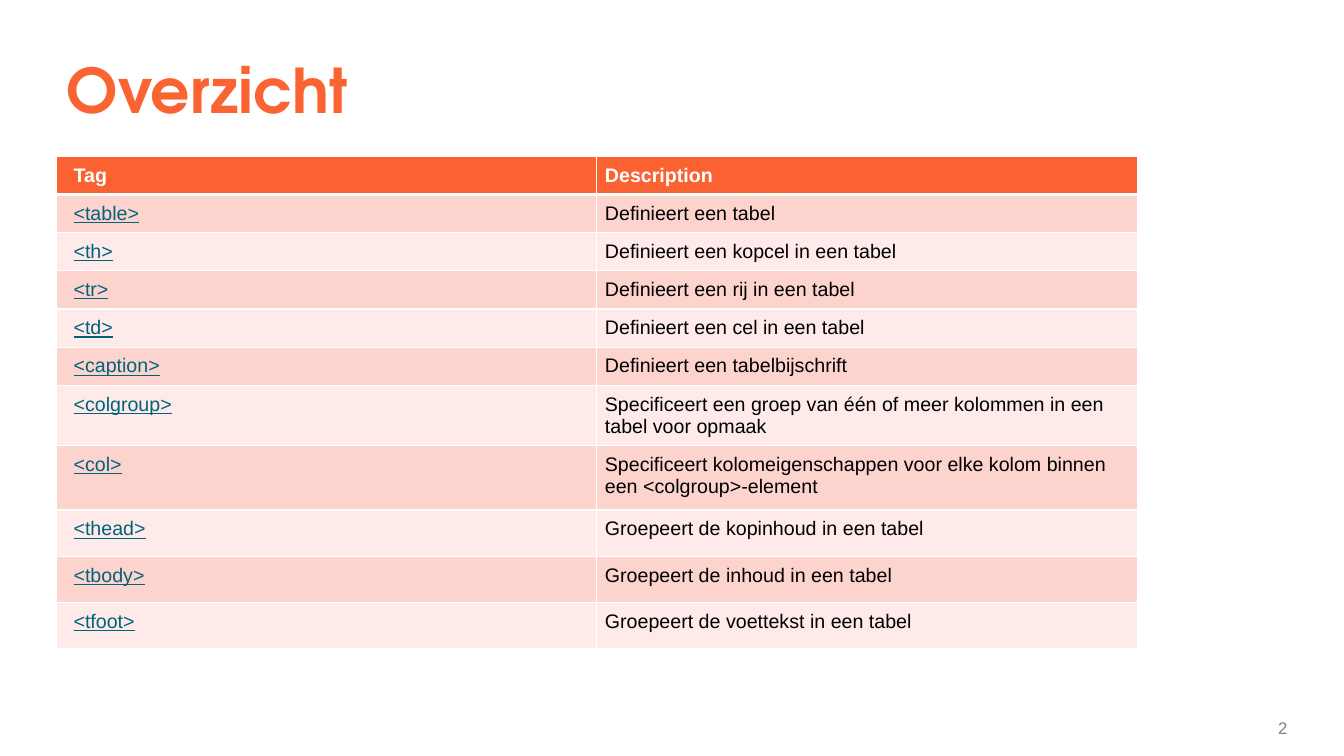
from lxml import etree
from pptx import Presentation
from pptx import util as u
from pptx.dml.color import RGBColor
from pptx.enum import text
from pptx.oxml.ns import qn

INK = {"title": "FA6432", "head": "FA6232", "dark": "FDD3CE", "light": "FEEAE8",
       "link": "00637C", "body": "000000", "white": "FFFFFF", "page": "808080"}

ROWS = [
    ("Tag", "Description", 0.31),
    ("<table>", "Definieert een tabel", 0.31),
    ("<th>", "Definieert een kopcel in een tabel", 0.31),
    ("<tr>", "Definieert een rij in een tabel", 0.31),
    ("<td>", "Definieert een cel in een tabel", 0.31),
    ("<caption>", "Definieert een tabelbijschrift", 0.31),
    ("<colgroup>", "Specificeert een groep van één of meer kolommen in een tabel voor opmaak", 0.5),
    ("<col>", "Specificeert kolomeigenschappen voor elke kolom binnen een <colgroup>-element", 0.64),
    ("<thead>", "Groepeert de kopinhoud in een tabel", 0.46),
    ("<tbody>", "Groepeert de inhoud in een tabel", 0.46),
    ("<tfoot>", "Groepeert de voettekst in een tabel", 0.46),
]


class Page:
    """Holds the style and the current slide."""

    def __init__(self, deck):
        self.font = "Arial"
        self.slide = deck.slides.add_slide(deck.slide_layouts[5])

    def style(self, para, size, ink, bold=False, line=False, font=None):
        for run in para.runs:
            face = run.font
            face.name, face.size = font or self.font, u.Pt(size)
            face.bold, face.underline = bold, line
            face.color.rgb = RGBColor.from_string(INK[ink])

    def place(self, shape, left, top, width, height):
        shape.left, shape.top = u.Inches(left), u.Inches(top)
        shape.width, shape.height = u.Inches(width), u.Inches(height)

    def title(self, words, *box):
        shape = self.slide.shapes.title
        self.place(shape, *box)
        frame = shape.text_frame
        frame.text = words
        frame.word_wrap = True
        frame.vertical_anchor = text.MSO_ANCHOR.MIDDLE
        para = frame.paragraphs[0]
        para.alignment = text.PP_ALIGN.LEFT
        para.line_spacing = 0.85
        self.style(para, 44, "title", bold=True, font="TeX Gyre Adventor")

    def number(self, words, *box):
        shape = self.slide.shapes.add_textbox(*map(u.Inches, box))
        frame = shape.text_frame
        frame.text = words
        frame.word_wrap = True
        frame.margin_right = 0
        frame.vertical_anchor = text.MSO_ANCHOR.MIDDLE
        para = frame.paragraphs[0]
        para.alignment = text.PP_ALIGN.RIGHT
        self.style(para, 12, "page")

    def edges(self, cell, row):
        # The rule under the header row is thicker
        thick = {("lnB", 0), ("lnT", 1)}
        props = cell._tc.get_or_add_tcPr()
        for side in ("lnL", "lnR", "lnT", "lnB"):
            width = u.Pt(3 if (side, row) in thick else 1)
            edge = etree.SubElement(props, qn("a:" + side), w=str(width))
            fill = etree.SubElement(edge, qn("a:solidFill"))
            etree.SubElement(fill, qn("a:srgbClr"), val=INK["white"])

    def cell(self, cell, words, row, col):
        cell.margin_left = u.Inches(0.08 if col else 0.17)
        cell.margin_right = cell.margin_top = cell.margin_bottom = u.Inches(0.08)
        self.edges(cell, row)
        shade = "head" if row == 0 else "dark" if row % 2 else "light"
        cell.fill.solid()
        cell.fill.fore_color.rgb = RGBColor.from_string(INK[shade])
        cell.text_frame.text = words
        para = cell.text_frame.paragraphs[0]
        if row == 0:
            self.style(para, 14, "white", bold=True)
        else:
            self.style(para, 14, "body" if col else "link", line=not col)

    def table(self, rows, left, top, width, height):
        box = map(u.Inches, (left, top, width, height))
        frame = self.slide.shapes.add_table(len(rows), 2, *box)
        grid = frame.table
        for row, (*words, tall) in enumerate(rows):
            grid.rows[row].height = u.Inches(tall)
            for col, word in enumerate(words):
                self.cell(grid.cell(row, col), word, row, col)
        frame.height = u.Inches(height)


def main():
    deck = Presentation()
    deck.slide_width, deck.slide_height = u.Inches(13.33), u.Inches(7.5)
    page = Page(deck)
    # Title
    page.title("Overzicht", 0.56, 0.33, 12.2, 1.22)
    # Overview of table tags
    page.table(ROWS, 0.56, 1.55, 10.72, 5.06)
    # Page number
    page.number("2", 12.1, 7.07, 0.67, 0.3)
    deck.save("out.pptx")


if __name__ == "__main__":
    main()
